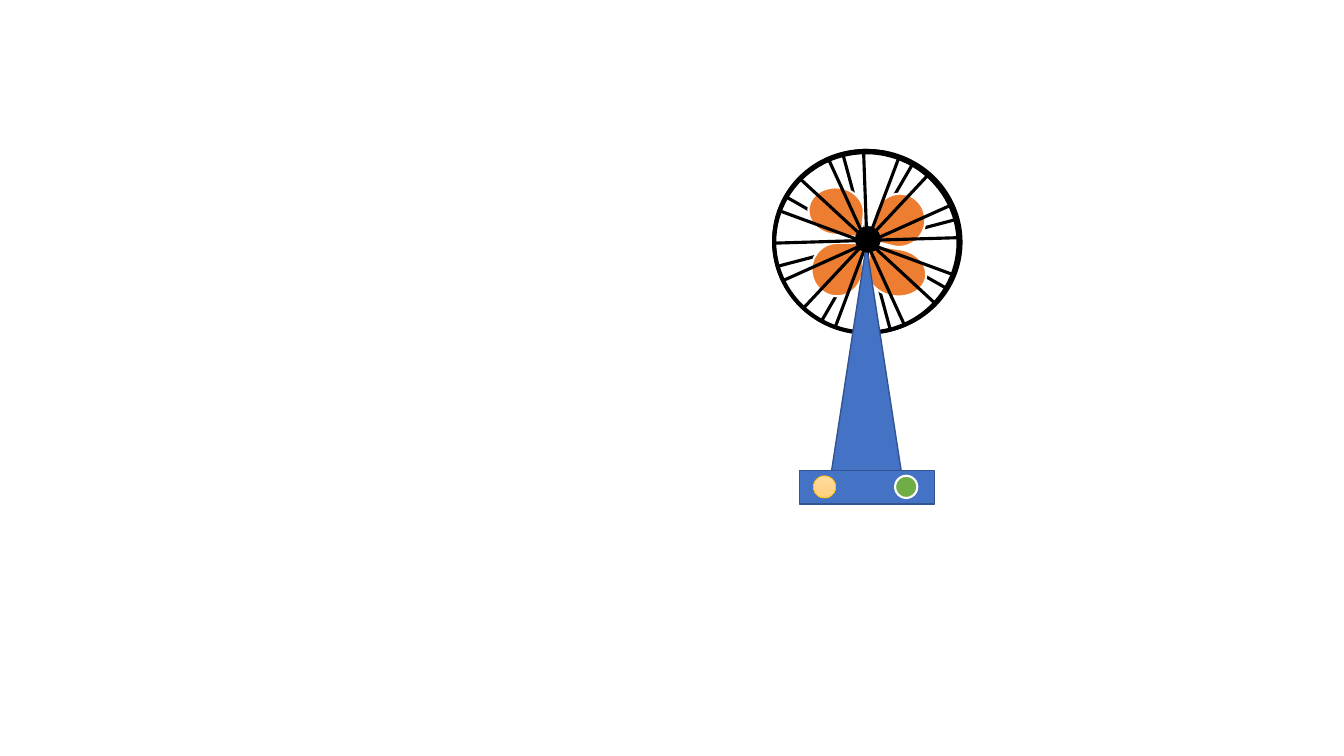
from math import cos, radians, sin

from lxml.etree import SubElement
from pptx import Presentation
from pptx.dml.color import RGBColor
from pptx.enum.shapes import MSO_CONNECTOR, MSO_SHAPE
from pptx.oxml.ns import qn
from pptx.util import Inches, Pt

BLACK = RGBColor(0x00, 0x00, 0x00)
WHITE = RGBColor(0xFF, 0xFF, 0xFF)
ORANGE = RGBColor(0xED, 0x7D, 0x31)
BLUE = RGBColor(0x44, 0x72, 0xC4)
DARK_BLUE = RGBColor(0x32, 0x54, 0x91)
GOLD = RGBColor(0xFF, 0xC0, 0x00)
PALE_GOLD = RGBColor(0xFF, 0xDB, 0x9E)
SOFT_GOLD = RGBColor(0xFF, 0xD0, 0x7C)
GREEN = RGBColor(0x70, 0xAD, 0x47)

COLUMNS, ROWS = 160, 90
HUB_COLUMN = 103.2
SPOKE_RADIUS = 10.9
SPOKE_STEP = 45.2
RING_SIZE = (21.96, 21.48)
BUTTON_SIZE = (2.64, 2.64)


class FanSlide:
    """Draws on one blank slide, with lengths in grid columns and rows."""

    def __init__(self, deck):
        self.slide = deck.slides.add_slide(deck.slide_layouts[6])
        self.column = deck.slide_width / COLUMNS
        self.row = deck.slide_height / ROWS

    def place(self, column, row):
        return round(column * self.column), round(row * self.row)

    def solid(self, preset, corner, size, fill, outline, weight=1, turn=0):
        """Add a preset shape; a pair of fill colours runs from top to bottom."""
        part = self.slide.shapes.add_shape(
            preset, *self.place(*corner), *self.place(*size))
        part.shadow.inherit = False
        part.rotation = turn
        if isinstance(fill, list):
            part.fill.gradient()
            part.fill.gradient_angle = 270
            for stop, color in zip(part.fill.gradient_stops, fill):
                stop.color.rgb = color
        else:
            part.fill.solid()
            part.fill.fore_color.rgb = fill
        part.line.color.rgb = outline
        part.line.width = Pt(weight)

    def spoke(self, center_row, angle):
        """Add a line across the wheel through its centre."""
        across = SPOKE_RADIUS * cos(radians(angle))
        down = SPOKE_RADIUS * sin(radians(angle))
        line = self.slide.shapes.add_connector(
            MSO_CONNECTOR.STRAIGHT,
            *self.place(HUB_COLUMN - across, center_row - down),
            *self.place(HUB_COLUMN + across, center_row + down))
        line.line.color.rgb = BLACK
        line.line.width = Pt(2.25)
        SubElement(line._element.spPr, qn("a:effectLst"))

    def spoke_set(self, center_row, first_angle):
        for index in range(4):
            self.spoke(center_row, first_angle + index * SPOKE_STEP)


def draw_wheel(fan):
    rings = [((92.4, 18), 12.1), ((92.16, 18), 12.1), ((92.16, 18.12), 7.5)]
    for corner, turn in rings:
        fan.solid(MSO_SHAPE.OVAL, corner, RING_SIZE, WHITE, BLACK, 3, turn)

    fan.spoke_set(28.92, 29.7)
    blades = [
        ((96.6, 28.92), (6.12, 6.36), 0),
        ((104.04, 23.04), (6.12, 6.36), 194),
        ((103.92, 28.92), (5.64, 7.08), 278.5),
        ((96.72, 21.84), (5.64, 6.6), 95.3),
    ]
    for corner, size, turn in blades:
        fan.solid(MSO_SHAPE.TEAR, corner, size, ORANGE, WHITE, 1.5, turn)
    fan.spoke_set(28.62, 42.7)
    fan.spoke_set(28.92, 20.2)


def draw_stand(fan):
    fan.solid(MSO_SHAPE.ISOSCELES_TRIANGLE, (99, 29.16), (8.28, 26.88),
              BLUE, DARK_BLUE)
    fan.solid(MSO_SHAPE.RECTANGLE, (95.16, 56.04), (16.08, 3.96),
              BLUE, DARK_BLUE)
    fan.solid(MSO_SHAPE.OVAL, (101.88, 27), (2.88, 3), BLACK, BLACK)
    fan.solid(MSO_SHAPE.OVAL, (96.84, 56.64), BUTTON_SIZE,
              [PALE_GOLD, SOFT_GOLD], GOLD, 0.5)
    fan.solid(MSO_SHAPE.OVAL, (106.56, 56.64), BUTTON_SIZE, GREEN, WHITE, 1.5)


def main():
    deck = Presentation()
    deck.slide_width = Inches(40 / 3)
    deck.slide_height = Inches(7.5)
    fan = FanSlide(deck)
    draw_wheel(fan)
    draw_stand(fan)
    deck.save("out.pptx")


if __name__ == "__main__":
    main()
